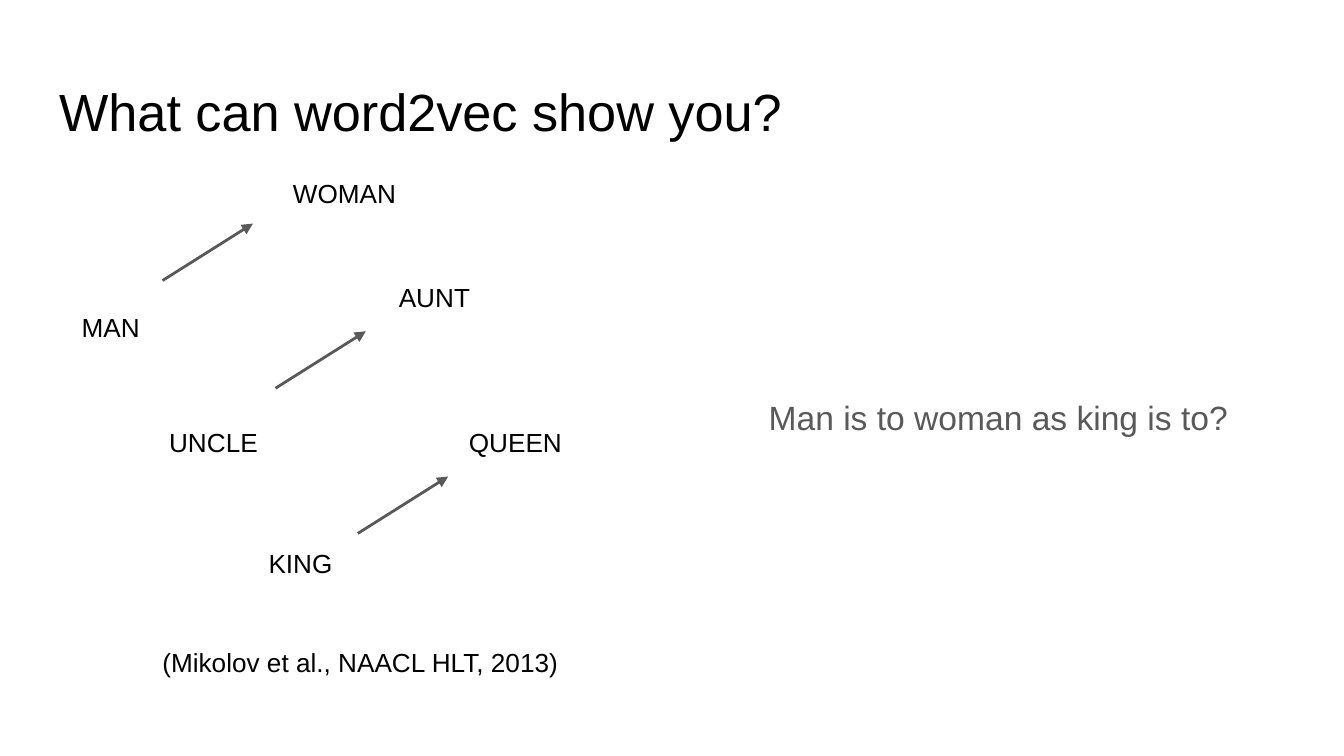
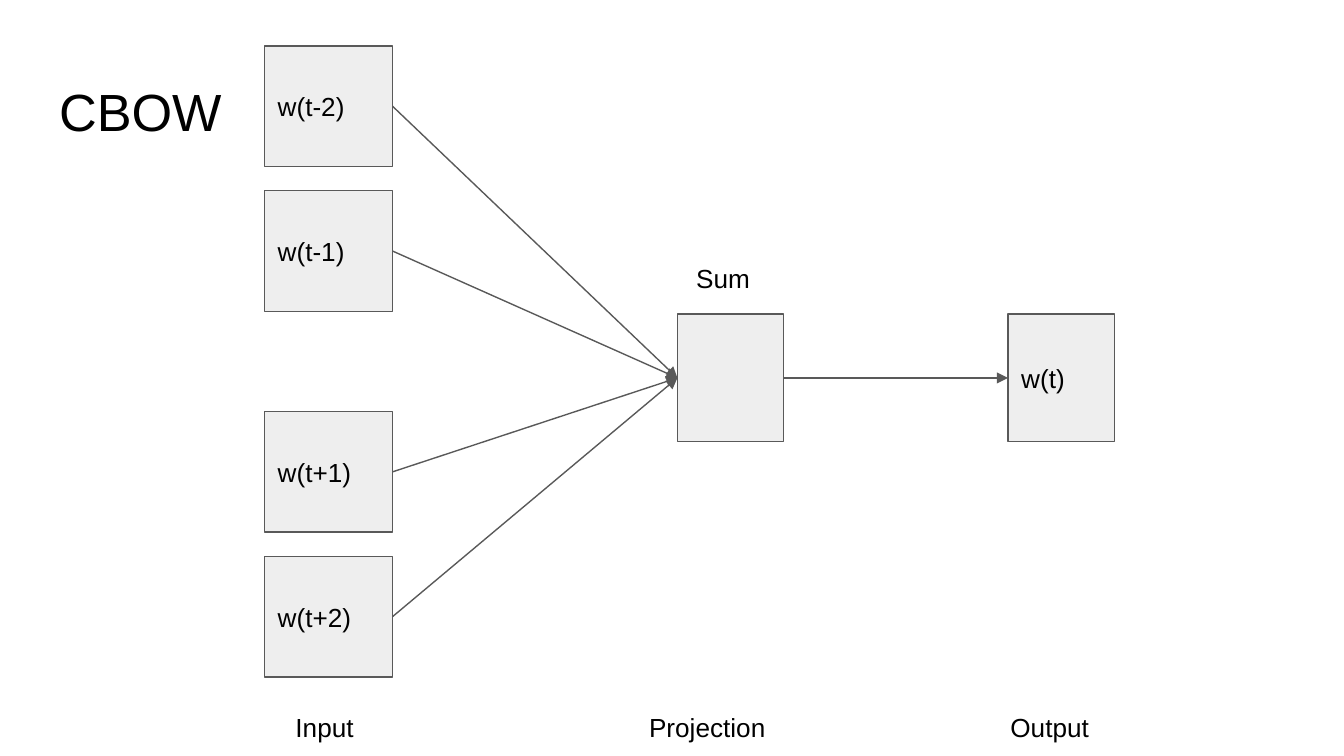
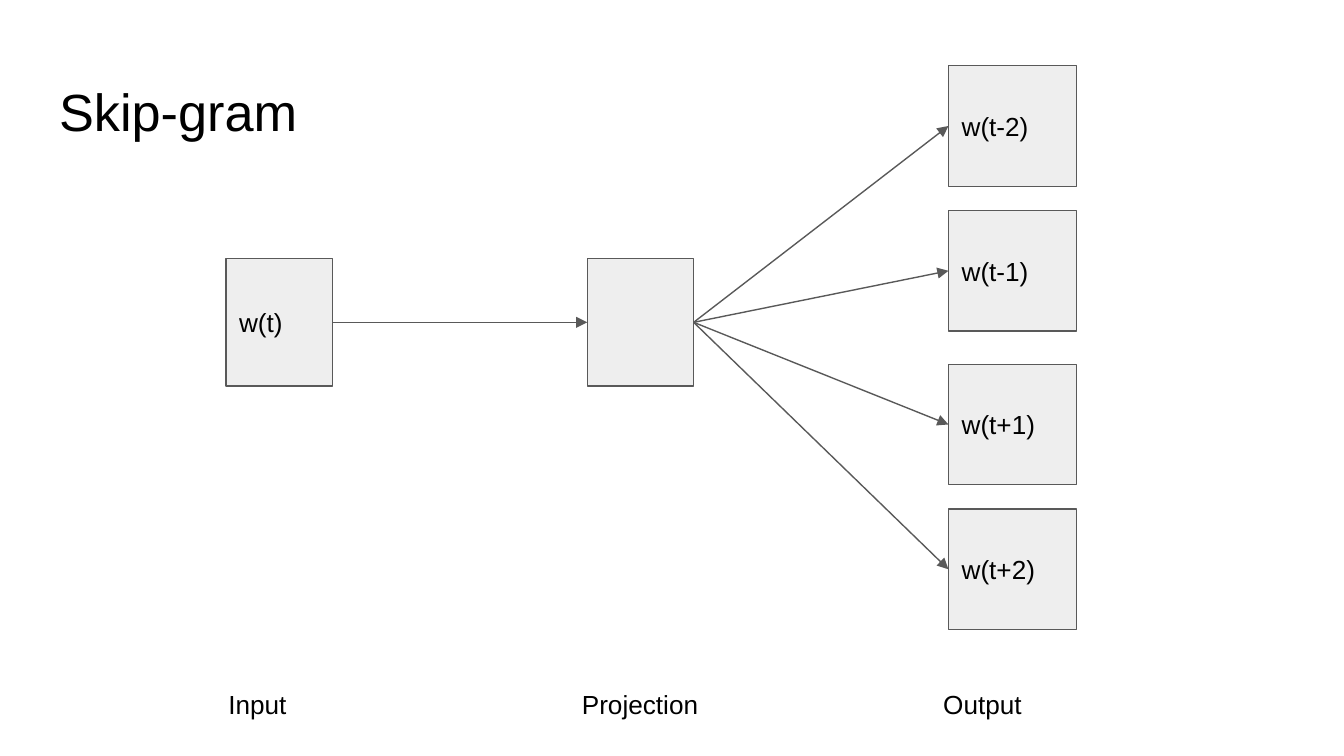
"""Build three slides on word2vec: analogies, CBOW and Skip-gram."""
from lxml import etree
from pptx import Presentation
from pptx.dml.color import RGBColor
from pptx.enum.shapes import MSO_CONNECTOR, MSO_SHAPE
from pptx.enum.text import MSO_ANCHOR, MSO_AUTO_SIZE, PP_ALIGN
from pptx.oxml.ns import qn
from pptx.util import Pt

STRAIGHT = MSO_CONNECTOR.STRAIGHT
RECT = MSO_SHAPE.RECTANGLE
TOP, MIDDLE = MSO_ANCHOR.TOP, MSO_ANCHOR.MIDDLE
NO_FIT = MSO_AUTO_SIZE.NONE
LEFT_ALIGN = PP_ALIGN.LEFT
LEFT, RIGHT = 1, 3
FONT, BLACK, GRAY, PALE = "Arial", "000000", "595959", "EEEEEE"
rgb = RGBColor.from_string


def write(sp, text, size=14, color=BLACK, anchor=TOP):
    """Write one formatted paragraph into a shape and return it."""
    tf = sp.text_frame
    tf.auto_size, tf.word_wrap, tf.vertical_anchor = NO_FIT, True, anchor
    tf.margin_left = tf.margin_top = tf.margin_right = tf.margin_bottom = Pt(7.2)
    p = tf.paragraphs[0]
    p.alignment = LEFT_ALIGN
    r = p.add_run()
    r.text = text
    r.font.name, r.font.size, r.font.color.rgb = FONT, Pt(size), rgb(color)
    return p


def arrow(s, width, ends=(0, 0, 0, 0)):
    """Draw a straight gray arrow and return its connector."""
    c = s.shapes.add_connector(STRAIGHT, *map(Pt, ends))
    c.line.color.rgb, c.line.width = rgb(GRAY), Pt(width)
    spPr = c.element.spPr
    etree.SubElement(spPr.find(qn("a:ln")), qn("a:tailEnd"), type="triangle")
    etree.SubElement(spPr, qn("a:effectLst"))
    return c


prs = Presentation()
prs.slide_width, prs.slide_height = Pt(720), Pt(405)

slides = []
for title, layout in [("What can word2vec show you?", 1), ("CBOW", 5), ("Skip-gram", 5)]:
    s = prs.slides.add_slide(prs.slide_layouts[layout])
    sp = s.shapes.title
    sp.left, sp.top, sp.width, sp.height = map(Pt, (24.5, 35, 671, 45.1))
    write(sp, title, size=28)
    slides.append(s)
analogy, cbow, skip_gram = slides

body = analogy.placeholders[1]
body.left, body.top, body.width, body.height = map(Pt, (404.6, 202.3, 290.9, 157))
p = write(body, "Man is to woman as king is to?", size=18, color=GRAY)
p.line_spacing, p.space_before, p.space_after = 1.15, Pt(0), Pt(16)
pPr = p._p.get_or_add_pPr()
pPr.set("marL", "0")
pPr.set("indent", "0")
etree.SubElement(pPr, qn("a:buNone"))

for word, x, y, w, h in [
    ("MAN", 36.7, 159.8, 50.4, 34.6),
    ("WOMAN", 149.8, 87.8, 89.3, 34.6),
    ("UNCLE", 83.5, 221, 69.8, 34.6),
    ("AUNT", 206.6, 143.3, 69.8, 34.6),
    ("KING", 136.8, 285.8, 69.8, 34.6),
    ("QUEEN", 244.1, 221, 69.8, 34.6),
    ("(Mikolov et al., NAACL HLT, 2013)", 79.9, 339.1, 398.2, 46.8),
]:
    write(analogy.shapes.add_textbox(Pt(x), Pt(y), Pt(w), Pt(h)), word)

for x, y in [(87.1, 150.3), (147.6, 208), (191.7, 285.8)]:
    arrow(analogy, 1.5, (x, y, x + 48.4, y - 30.5))

PITCH = 77.6
for s, center_x, hidden_x, center_y, context_x, pair_tops, label_x, label_y in [
    (cbow, 540, 362.9, 168.3, 141.7, (24.6, 220.5), 151.2, 373.7),
    (skip_gram, 121, 314.6, 138.5, 508.1, (35.2, 195.1), 115.2, 361.4),
]:
    tops = [top + i * PITCH for top in pair_tops for i in range(2)]
    specs = [("w(t)", center_x, center_y, 57, 68.4), ("", hidden_x, center_y, 57, 68.4)]
    specs += [(word, context_x, top, 68.6, 64.6)
              for word, top in zip(("w(t-2)", "w(t-1)", "w(t+1)", "w(t+2)"), tops)]
    boxes = []
    for word, x, y, w, h in specs:
        sp = s.shapes.add_shape(RECT, Pt(x), Pt(y), Pt(w), Pt(h))
        sp.shadow.inherit = False
        sp.fill.solid()
        sp.fill.fore_color.rgb = rgb(PALE)
        sp.line.color.rgb, sp.line.width = rgb(GRAY), Pt(0.75)
        if word:
            write(sp, word, anchor=MIDDLE)
        boxes.append(sp)

    center, hidden, *context = boxes
    if s is cbow:
        links = [(sp, hidden) for sp in context] + [(hidden, center)]
    else:
        links = [(center, hidden)] + [(hidden, sp) for sp in context]
    for start, end in links:
        c = arrow(s, 0.75)
        c.begin_connect(start, RIGHT)
        c.end_connect(end, LEFT)

    for label, dx, w in [("Input", 0, 68.4), ("Projection", 189.4, 92.2), ("Output", 383, 68.4)]:
        write(s.shapes.add_textbox(Pt(label_x + dx), Pt(label_y), Pt(w), Pt(28.1)), label)

write(cbow.shapes.add_textbox(Pt(365.8), Pt(133.2), Pt(51.1), Pt(28.1)), "Sum")

prs.save("out.pptx")
